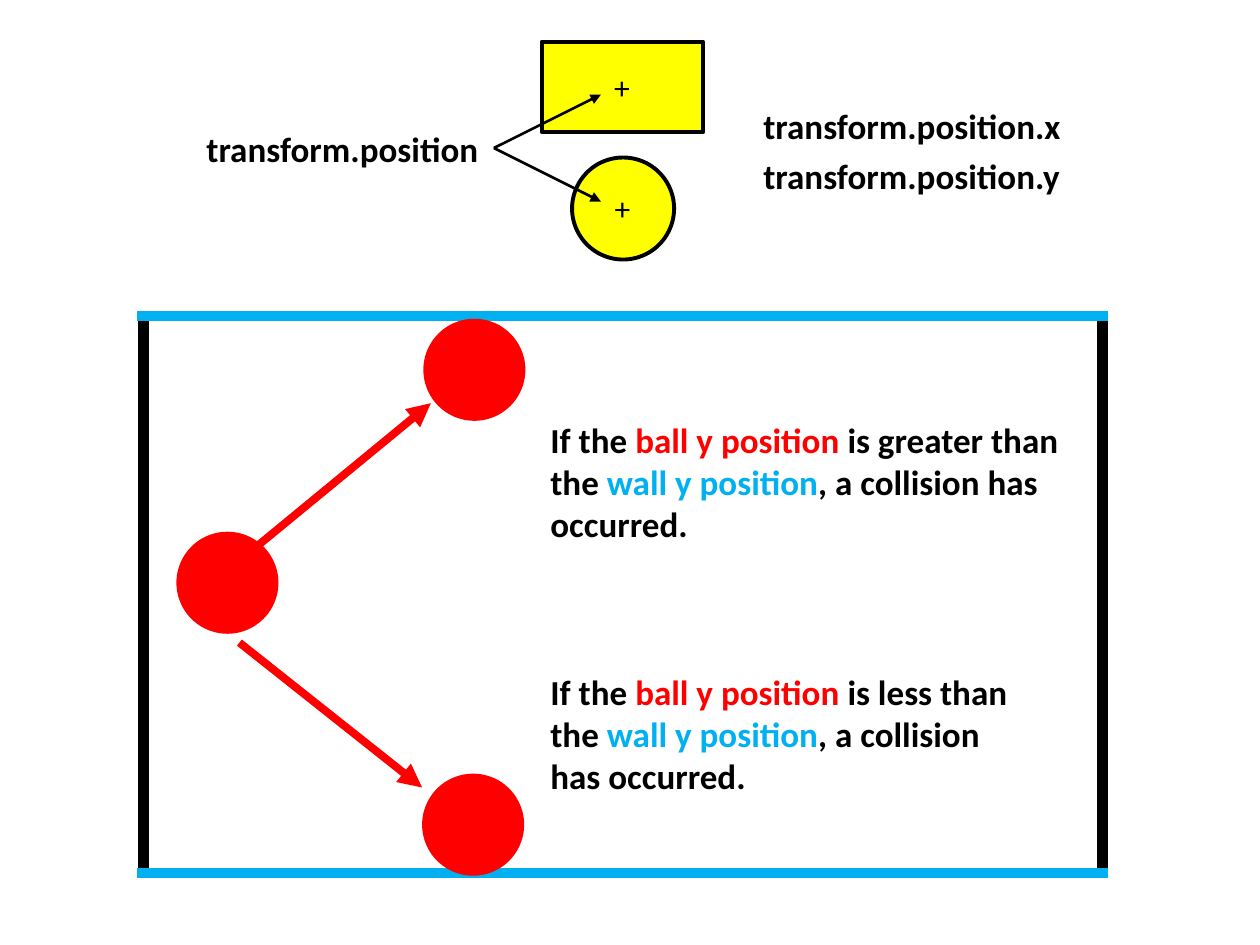
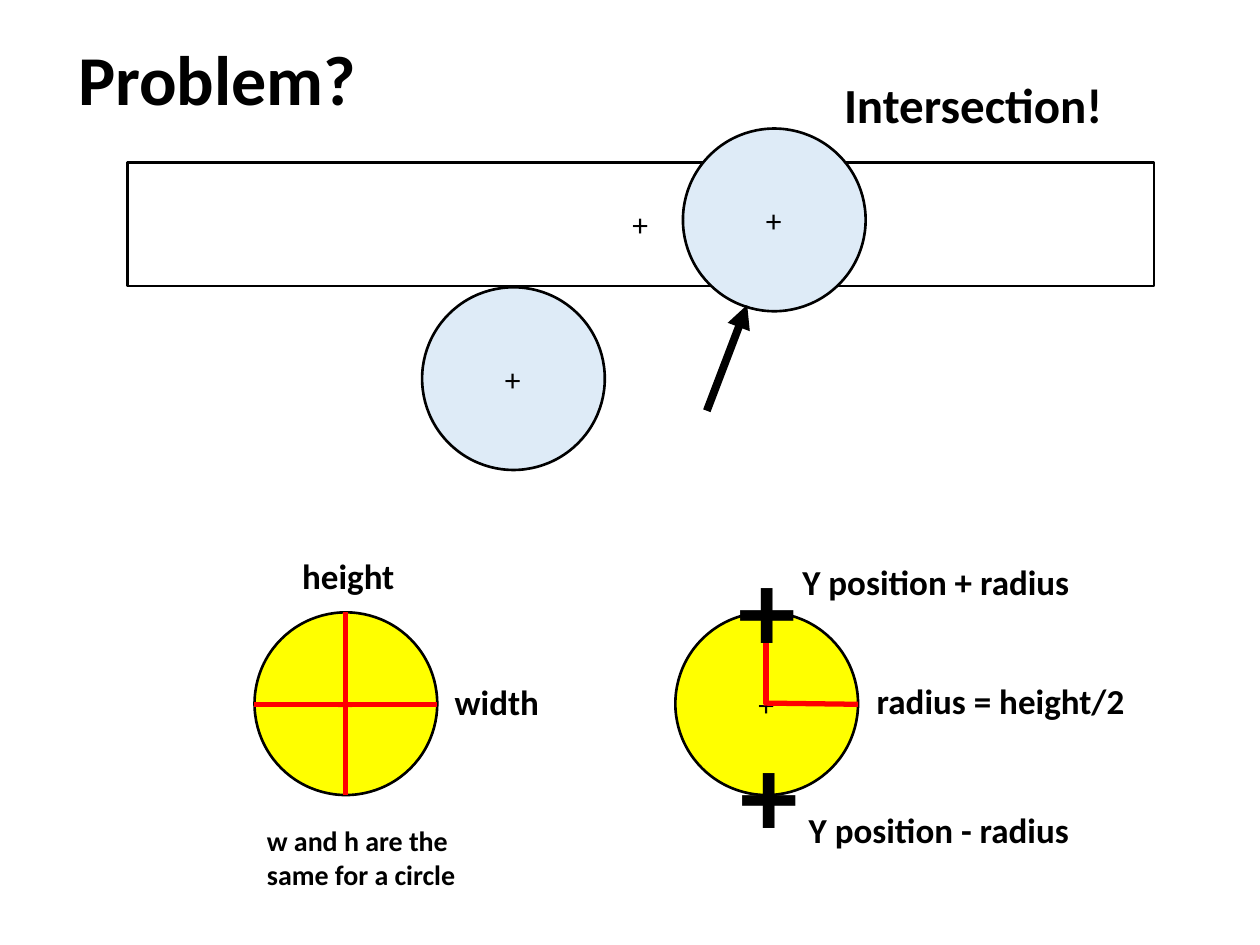
from lxml.etree import SubElement
from pptx import Presentation
from pptx.dml.color import RGBColor
from pptx.enum.shapes import MSO_CONNECTOR as CONNECTOR, MSO_SHAPE as SHAPE
from pptx.enum.text import MSO_ANCHOR as ANCHOR, MSO_AUTO_SIZE as AUTO_SIZE, PP_ALIGN as ALIGN
from pptx.oxml.ns import qn
from pptx.util import Inches, Pt

BLACK = RGBColor(0x00, 0x00, 0x00)
WHITE = RGBColor(0xFF, 0xFF, 0xFF)
RED = RGBColor(0xFF, 0x00, 0x00)
YELLOW = RGBColor(0xFF, 0xFF, 0x00)
SKY = RGBColor(0x00, 0xB0, 0xF0)
PALE = RGBColor(0xDE, 0xEB, 0xF7)

COLUMNS, ROWS = 100, 75
TITLE_ONLY, BLANK = 5, 6
SMALL_BALL, LARGE_BALL = 8.1, 14.5
MARKER_WIDTH, MARKER_HEIGHT = 3.3, 4


class Sketch:
    """Draws on the current slide; lengths are columns and rows of the grid."""

    font = "Calibri"

    def __init__(self):
        self.presentation = Presentation()
        self.presentation.slide_width = Inches(10)
        self.presentation.slide_height = Inches(7.5)
        self.column = self.presentation.slide_width / COLUMNS
        self.row = self.presentation.slide_height / ROWS
        self.slide = None

    def new_slide(self, layout):
        layouts = self.presentation.slide_layouts
        self.slide = self.presentation.slides.add_slide(layouts[layout])

    def place(self, *lengths):
        """Turn alternating columns and rows into slide units."""
        return [round(length * (self.row if index % 2 else self.column))
                for index, length in enumerate(lengths)]

    def fill_frame(self, frame, runs, size, bold, wrap):
        frame_format = {"word_wrap": wrap, "vertical_anchor": ANCHOR.TOP,
                        "auto_size": AUTO_SIZE.SHAPE_TO_FIT_TEXT}
        font_format = {"name": self.font, "size": Pt(size), "bold": bold}
        for name, value in frame_format.items():
            setattr(frame, name, value)
        paragraph = frame.paragraphs[0]
        paragraph.alignment = ALIGN.LEFT
        for words, color in runs:
            run = paragraph.add_run()
            run.text = words
            run.font.color.rgb = color
            for name, value in font_format.items():
                setattr(run.font, name, value)

    def title(self, words, box, size=40):
        shape = self.slide.shapes.title
        places = zip(("left", "top", "width", "height"), self.place(*box))
        for name, value in places:
            setattr(shape, name, value)
        self.fill_frame(shape.text_frame, [(words, BLACK)], size, True, False)

    def text(self, content, box, size=20, bold=True, wrap=False):
        runs = [(content, BLACK)] if isinstance(content, str) else content
        shape = self.slide.shapes.add_textbox(*self.place(*box))
        self.fill_frame(shape.text_frame, runs, size, bold, wrap)

    def shape(self, kind, box, fill=None, line=None):
        shape = self.slide.shapes.add_shape(kind, *self.place(*box))
        shape.shadow.inherit = False
        if fill is None:
            shape.fill.background()
        else:
            shape.fill.solid()
            shape.fill.fore_color.rgb = fill
        if line is None:
            shape.line.fill.background()
        else:
            shape.line.color.rgb = BLACK
            shape.line.width = Pt(line)

    def ball(self, left, top, size, fill, line=None):
        self.shape(SHAPE.OVAL, (left, top, size, size), fill, line)

    def center_mark(self, left, top, width, height):
        """Mark the middle of the given box with a plus sign."""
        self.text("+", (left + (width - MARKER_WIDTH) / 2,
                        top + (height - MARKER_HEIGHT) / 2,
                        MARKER_WIDTH, MARKER_HEIGHT), 18, False)

    def marked_ball(self, left, top, size, fill, line):
        self.ball(left, top, size, fill, line)
        self.center_mark(left, top, size, size)

    def marked_block(self, box, fill, line):
        self.shape(SHAPE.RECTANGLE, box, fill, line)
        self.center_mark(*box)

    def line(self, start, end, color, width, arrow=False):
        connector = self.slide.shapes.add_connector(
            CONNECTOR.STRAIGHT, *self.place(*start, *end))
        connector.line.color.rgb = color
        connector.line.width = Pt(width)
        properties = connector._element.spPr
        if arrow:
            SubElement(properties.find(qn("a:ln")), qn("a:tailEnd"), type="triangle")
        SubElement(properties, qn("a:effectLst"))


def draw_collision(sketch):
    sketch.new_slide(BLANK)
    court_top, court_height = 25.1, 44.2
    sketch.shape(SHAPE.RECTANGLE, (11.4, court_top, 76.1, court_height), line=6)
    for wall_row in (court_top, court_top + court_height):
        sketch.line((10.9, wall_row), (87.9, wall_row), SKY, 6)

    sketch.ball(14, 42.2, SMALL_BALL, RED)
    bounces = [((19, 44.5), (34.2, 32), (33.6, 25.3)),
               ((19, 51), (33.5, 62.5), (33.5, 61.4))]
    for start, end, ball_corner in bounces:
        sketch.line(start, end, RED, 4.5, arrow=True)
        sketch.ball(*ball_corner, SMALL_BALL, RED)

    for comparison, top, width in (("greater", 32.7, 43), ("less", 52.7, 40.3)):
        sketch.text([("If the ", BLACK), ("ball y position ", RED),
                     (f"is {comparison} than the ", BLACK), ("wall y position", SKY),
                     (", a collision has occurred.", BLACK)],
                    (42.7, top, width, 11.1), wrap=True)

    sketch.marked_block((43, 3.3, 12.8, 7.2), YELLOW, 2.25)
    sketch.marked_ball(45.4, 12.5, SMALL_BALL, YELLOW, 2.25)
    sketch.text("transform.position", (15.4, 9.6, 23.8, 4.4))
    for index, axis in enumerate("xy"):
        sketch.text(f"transform.position.{axis}", (59.6, 7.8 + 4 * index, 25.8, 4.4))
    for target_row in (7.5, 16):
        sketch.line((39.2, 11.75), (47.7, target_row), BLACK, 1.5, arrow=True)


def draw_intersection(sketch):
    sketch.new_slide(TITLE_ONLY)
    sketch.title("Problem?", (5.2, 2.3, 24.3, 7.7))
    sketch.marked_block((10.1, 12.9, 81.5, 9.8), WHITE, 1.5)
    for left, top in ((54.2, 10.2), (33.5, 22.8)):
        sketch.marked_ball(left, top, LARGE_BALL, PALE, 1.5)
    sketch.line((56.1, 32.6), (59.3, 24.2), BLACK, 4.5, arrow=True)
    sketch.text("Intersection!", (66, 5.4, 22.8, 5.7), 28)

    ball_top, middle = 48.6, 55.9
    for left in (20.2, 53.6):
        sketch.marked_ball(left, ball_top, LARGE_BALL, YELLOW, 1.5)
    measures = [((20.2, middle), (34.7, middle)),
                ((27.4, ball_top + LARGE_BALL), (27.4, ball_top)),
                ((60.6, 55.8), (68.1, middle)),
                ((60.8, middle), (60.8, ball_top))]
    for start, end in measures:
        sketch.line(start, end, RED, 3)

    labels = [("height", 23, 43.5, 9.4), ("width", 35.1, 53.5, 8.8),
              ("radius = height/2", 68.6, 53.4, 22.5),
              ("Y position + radius", 62.7, 44, 23.4),
              ("Y position - radius", 63.2, 63.7, 23.4)]
    for words, left, top, width in labels:
        sketch.text(words, (left, top, width, 4.4))
    sketch.text("w and h are the same for a circle", (20.2, 64.9, 17.8, 6.4), 16, wrap=True)
    for left, top in ((57.6, 42.1), (57.8, 56.8)):
        sketch.text("+", (left, top, 6.6, 12.1), 66)


def main():
    sketch = Sketch()
    draw_collision(sketch)
    draw_intersection(sketch)
    sketch.presentation.save("out.pptx")


if __name__ == "__main__":
    main()
